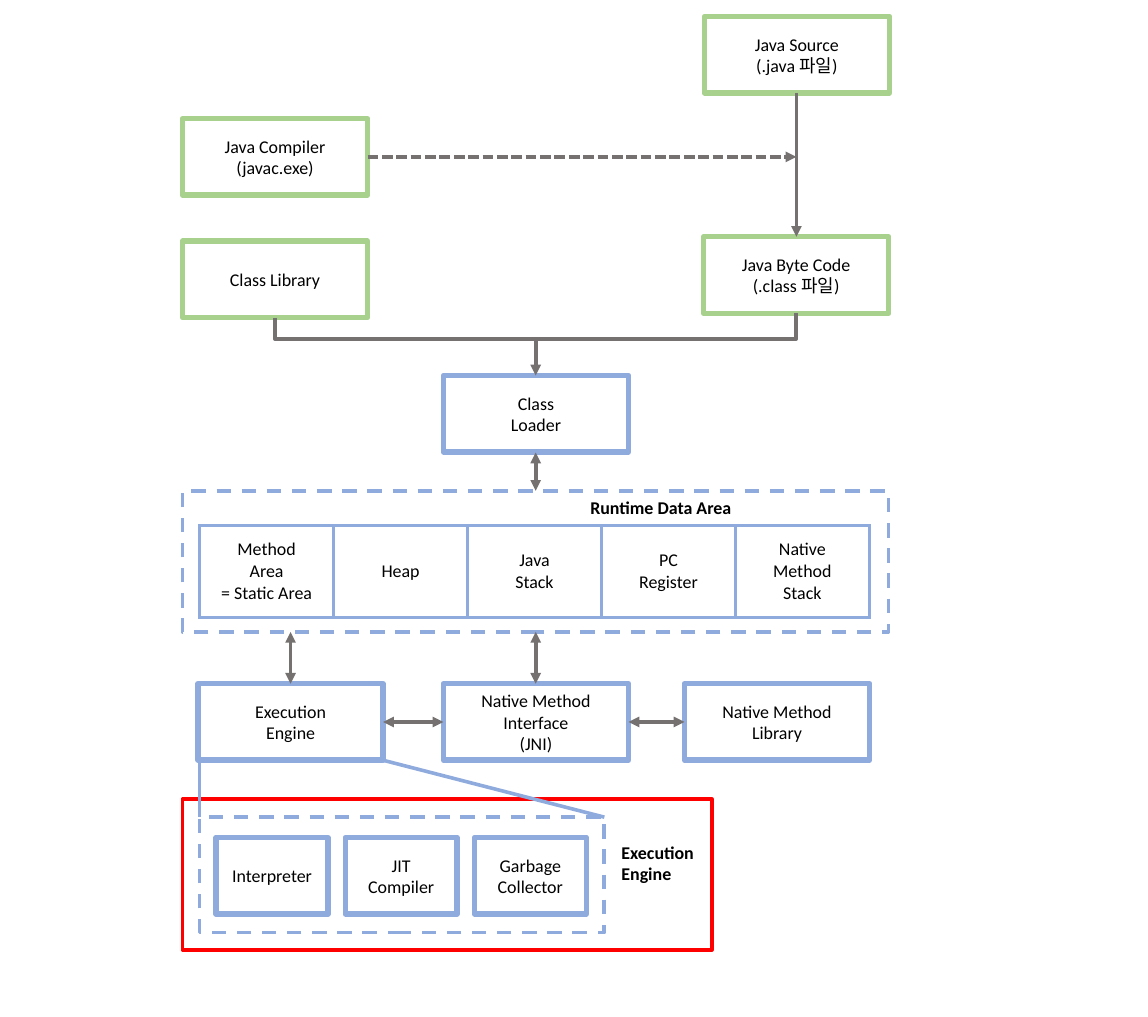
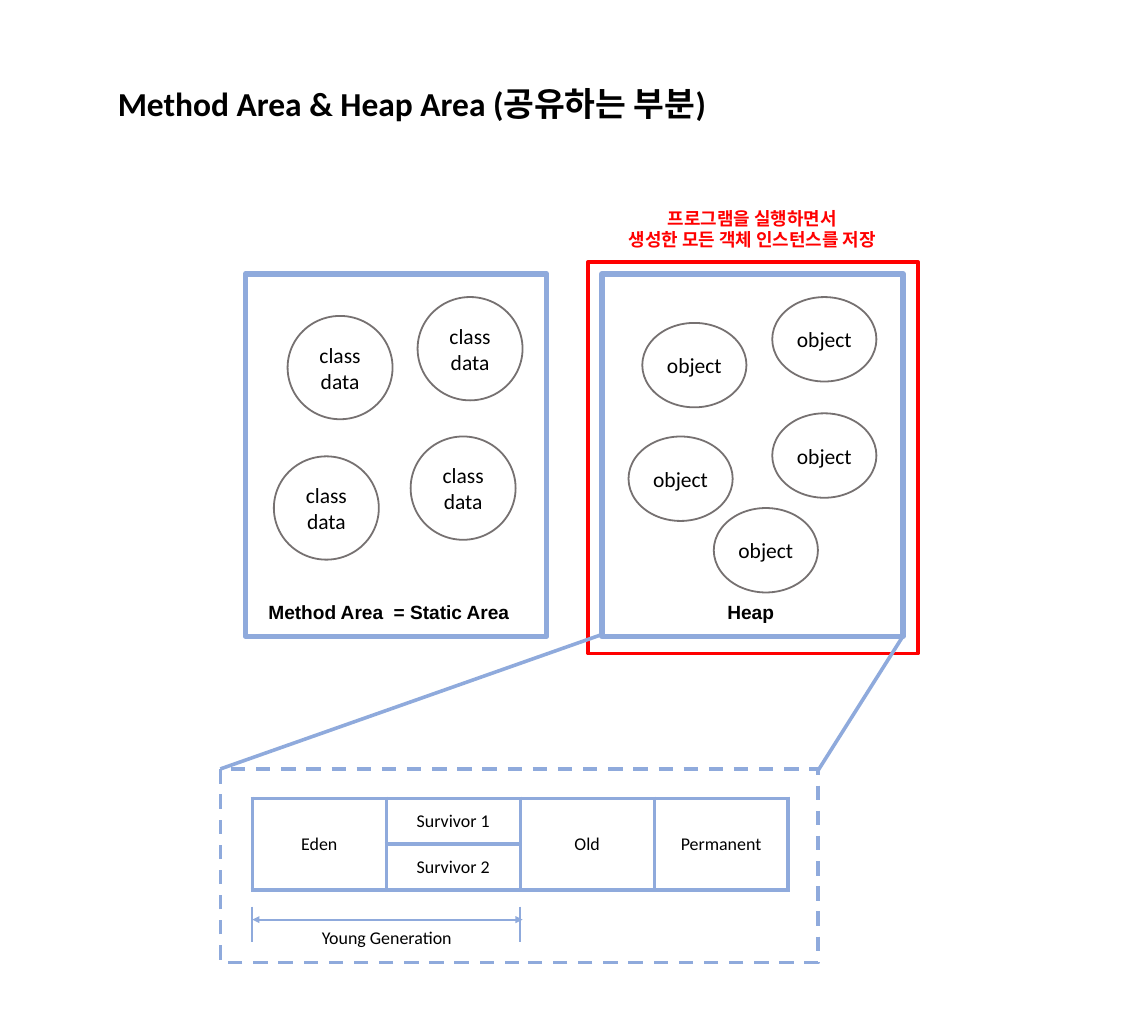
import dataclasses

import lxml.etree
import pptx
import pptx.dml.color
import pptx.enum.dml
import pptx.enum.shapes
import pptx.enum.text
import pptx.oxml.ns
import pptx.util

Pt = pptx.util.Pt
RGB = pptx.dml.color.RGBColor.from_string
qn = pptx.oxml.ns.qn
SHAPE = pptx.enum.shapes.MSO_SHAPE
CONNECTOR = pptx.enum.shapes.MSO_CONNECTOR
DASH = pptx.enum.dml.MSO_LINE
ALIGN = pptx.enum.text.PP_ALIGN
MIDDLE = pptx.enum.text.MSO_ANCHOR.MIDDLE


@dataclasses.dataclass(frozen=True)
class Theme:
    green: str = "A9D18E"
    blue: str = "8FAADC"
    grey: str = "767171"
    red: str = "FF0000"
    black: str = "000000"
    body_font: str = "Calibri"
    area_font: str = "Arial"
    title_size: float = 28
    circle_size: float = 18
    area_size: float = 16
    body_size: float = 15
    box_line: float = 4.5
    rule_line: float = 3
    thin_line: float = 1.5


THEME = Theme()
SLIDE_WIDTH, SLIDE_HEIGHT = 960, 850.4
BOX_WIDTH, BOX_HEIGHT = 154.8, 64
CELL_WIDTH, TABLE_HEIGHT = 112, 76.8


def set_attributes(target, values):
    for name, value in values.items():
        setattr(target, name, value)


def write(frame, text, size=THEME.body_size, color=THEME.black, bold=False,
          font=THEME.body_font, align=ALIGN.CENTER):
    """Fill a text frame, one paragraph for each line of text."""
    frame.text = text
    for paragraph in frame.paragraphs:
        paragraph.alignment = align
        for run in paragraph.runs:
            set_attributes(run.font, {"name": font, "size": Pt(size), "bold": bold})
            run.font.color.rgb = RGB(color)


def set_line(shape, color, width, dash=None):
    shape.line.color.rgb = RGB(color)
    set_attributes(shape.line, {"width": Pt(width), "dash_style": dash})


def add_outline(slide, left, top, width, height, color=THEME.blue, line=THEME.box_line,
                dash=None, kind=SHAPE.RECTANGLE, text="", size=THEME.body_size):
    """Add an unfilled shape, with centred text if there is any."""
    shape = slide.shapes.add_shape(kind, Pt(left), Pt(top), Pt(width), Pt(height))
    shape.shadow.inherit = False
    shape.fill.background()
    set_line(shape, color, line, dash)
    if text:
        set_attributes(shape.text_frame, {"word_wrap": True, "vertical_anchor": MIDDLE})
        write(shape.text_frame, text, size)
    return shape


def add_box(slide, text, left, top, color=THEME.blue, width=BOX_WIDTH):
    return add_outline(slide, left, top, width, BOX_HEIGHT, color, text=text)


def add_frame(slide, left, top, width, height, color=THEME.blue, dash=DASH.DASH):
    return add_outline(slide, left, top, width, height, color, THEME.rule_line, dash)


def add_circles(slide, text, width, height, positions):
    for left, top in positions:
        add_outline(slide, left, top, width, height, THEME.grey, THEME.thin_line,
                    kind=SHAPE.OVAL, text=text, size=THEME.circle_size)


def add_label(slide, text, left, top, width, height, wrap=False, align=ALIGN.LEFT, **style):
    box = slide.shapes.add_textbox(Pt(left), Pt(top), Pt(width), Pt(height))
    set_attributes(box.text_frame, {
        "word_wrap": wrap,
        "auto_size": pptx.enum.text.MSO_AUTO_SIZE.SHAPE_TO_FIT_TEXT,
    })
    write(box.text_frame, text, align=align, **style)


def finish_connector(connector, color, width, dash=None, ends=()):
    """Style a connector, add arrowheads at the named ends, drop its shadow."""
    set_line(connector, color, width, dash)
    properties = connector._element.spPr
    line = properties.find(qn("a:ln"))
    for end in ends:
        lxml.etree.SubElement(line, qn(f"a:{end}"), type="triangle")
    lxml.etree.SubElement(properties, qn("a:effectLst"))


def add_line(slide, start, end, color=THEME.blue, width=THEME.rule_line, dash=None, ends=()):
    connector = slide.shapes.add_connector(
        CONNECTOR.STRAIGHT, *(Pt(value) for value in (*start, *end)))
    finish_connector(connector, color, width, dash, ends)


def add_arrow(slide, start, end, both=False, dash=None):
    ends = ("headEnd", "tailEnd") if both else ("tailEnd",)
    add_line(slide, start, end, THEME.grey, dash=dash, ends=ends)


def add_bracket(slide, first, second, drop):
    """Join the bottoms of two boxes by an elbow that runs drop below the first."""
    connector = slide.shapes.add_connector(CONNECTOR.ELBOW, 0, 0, 0, 0)
    connector.begin_connect(first, 2)
    connector.end_connect(second, 2)
    start_x, end_x = (box.left + box.width // 2 for box in (first, second))
    start_y, end_y = (box.top + box.height for box in (first, second))
    width, height = start_y - end_y, end_x - start_x
    set_attributes(connector, {
        "left": (start_x + end_x - width) // 2,
        "top": (start_y + end_y - height) // 2,
        "width": width,
        "height": height,
    })
    properties = connector._element.spPr
    for name, value in {"rot": "5400000", "flipH": "1", "flipV": "1"}.items():
        properties.find(qn("a:xfrm")).set(name, value)
    guides = properties.find(qn("a:prstGeom")).find(qn("a:avLst"))
    share = -round(Pt(drop) / width * 100000)
    lxml.etree.SubElement(guides, qn("a:gd"), name="adj1", fmla=f"val {share}")
    finish_connector(connector, THEME.grey, THEME.rule_line)


def set_borders(cell):
    properties = cell._tc.get_or_add_tcPr()
    for side in ("lnL", "lnR", "lnT", "lnB"):
        border = lxml.etree.SubElement(properties, qn(f"a:{side}"), w=str(Pt(THEME.rule_line)))
        fill = lxml.etree.SubElement(border, qn("a:solidFill"))
        lxml.etree.SubElement(fill, qn("a:srgbClr"), val=THEME.blue)


def add_grid(slide, left, top, rows):
    """Add a bordered table; a None cell merges with the cell above it."""
    count = len(rows[0])
    table = slide.shapes.add_table(len(rows), count, Pt(left), Pt(top),
                                   Pt(count * CELL_WIDTH), Pt(TABLE_HEIGHT)).table
    set_attributes(table, {"first_row": False, "horz_banding": False})
    for row_index, row in enumerate(rows):
        for column_index, text in enumerate(row):
            cell = table.cell(row_index, column_index)
            set_borders(cell)
            cell.fill.background()
            if text is None:
                table.cell(row_index - 1, column_index).merge(cell)
            else:
                cell.vertical_anchor = MIDDLE
                write(cell.text_frame, text)


def build_architecture(slide):
    left, center, right = 152.6, 448, 666
    middle_left = 370.8
    engine_top = 571.7
    engine_middle = engine_top + BOX_HEIGHT / 2
    engine_bottom = engine_top + BOX_HEIGHT

    add_box(slide, "Java Source\n(.java 파일)", 589, 13.7, THEME.green)
    byte_code = add_box(slide, "Java Byte Code\n(.class 파일)", 588.4, 198, THEME.green)
    add_box(slide, "Java Compiler\n(javac.exe)", left, 99.2, THEME.green)
    library = add_box(slide, "Class Library", left, 201.6, THEME.green)
    add_arrow(slide, (right, 77.7), (right, 198))
    add_arrow(slide, (left + BOX_WIDTH, 131.2), (right, 131.2), dash=DASH.SQUARE_DOT)

    add_box(slide, "Class\nLoader", middle_left, 314, THEME.blue)
    add_bracket(slide, library, byte_code, 18)
    add_arrow(slide, (center, 284.2), (center, 314))

    add_frame(slide, left, 410.4, 590.4, 118)
    add_arrow(slide, (center, 378.4), (center, 410.4), both=True)
    add_grid(slide, 167, 439.7, [["Method\nArea\n= Static Area", "Heap", "Java\nStack",
                                  "PC\nRegister", "Native\nMethod\nStack"]])
    add_label(slide, "Runtime Data Area", 486.5, 411.8, 134, 25.4, bold=True)

    for text, box_left in (("Execution\nEngine", 165.6),
                           ("Native Method\nInterface\n(JNI)", middle_left),
                           ("Native Method\nLibrary", 572.4)):
        add_box(slide, text, box_left, engine_top)
    for x in (center, 243):
        add_arrow(slide, (x, 528.4), (x, engine_top), both=True)
    for start, end in ((572.4, 525.6), (middle_left, 320.4)):
        add_arrow(slide, (start, engine_middle), (end, engine_middle), both=True)

    add_frame(slide, left, 668.2, 442.8, 126, THEME.red, None)
    add_frame(slide, 167, 683.3, 338.4, 96.5)
    for index, text in enumerate(("Interpreter", "JIT\nCompiler", "Garbage\nCollector")):
        add_box(slide, text, 180.7 + index * 108, 700.3, width=93.6)
    add_line(slide, (167, engine_bottom), (167, 683.3))
    add_line(slide, (320.4, engine_bottom), (505.4, 683.3))
    add_label(slide, "Execution\nEngine", 512.6, 699.8, 75.6, 44, bold=True)


def build_heap(slide):
    area_style = {"size": THEME.area_size, "font": THEME.area_font, "bold": True}
    for area_left in (205.2, 503.3):
        add_outline(slide, area_left, 229, 252, 303)
    add_label(slide, "Heap", 601.2, 498.2, 54.7, 26.6, **area_style)
    add_circles(slide, "class\ndata", 87.8, 86.4,
                [(240.5, 264.2), (349.2, 248.4), (229, 381.6), (343.4, 365)])
    add_frame(slide, 491.8, 218.9, 275.8, 327.6, THEME.red, None)
    add_label(slide, "프로그램을 실행하면서\n생성한 모든 객체 인스턴스를 저장", 509, 170, 240.5, 44,
              align=ALIGN.CENTER, color=THEME.red, bold=True)
    add_circles(slide, "object", 87.1, 70.6,
                [(537.1, 270), (645.8, 248.4), (525.6, 365), (645.8, 345.6), (596.9, 424.8)])
    add_label(slide, "Method Area & Heap Area (공유하는 부분)", 91.4, 65.5, 526.3, 41,
              size=THEME.title_size, bold=True)
    add_label(slide, "Method Area  = Static Area", 217.4, 498.2, 227.5, 26.6, **area_style)

    add_frame(slide, 184.3, 643, 499.7, 162)
    add_line(slide, (503.3, 530.6), (184.3, 643))
    add_line(slide, (754.6, 532.8), (684, 644.4))
    add_label(slide, "Young Generation", 262, 771, 131, 25.4, wrap=True)
    young_left = 211
    young_right = young_left + 2 * CELL_WIDTH
    add_grid(slide, young_left, 667.4, [["Eden", "Survivor 1", "Old", "Permanent"],
                                        [None, "Survivor 2", None, None]])
    for x in (young_left, young_right):
        add_line(slide, (x, 758.2), (x, 787.7), width=THEME.thin_line)
    add_line(slide, (young_left, 769), (young_right + 2, 769), width=THEME.thin_line,
             ends=("headEnd", "tailEnd"))


def main():
    presentation = pptx.Presentation()
    set_attributes(presentation, {"slide_width": Pt(SLIDE_WIDTH),
                                  "slide_height": Pt(SLIDE_HEIGHT)})
    for build in (build_architecture, build_heap):
        build(presentation.slides.add_slide(presentation.slide_layouts[6]))
    presentation.save("out.pptx")


if __name__ == "__main__":
    main()
